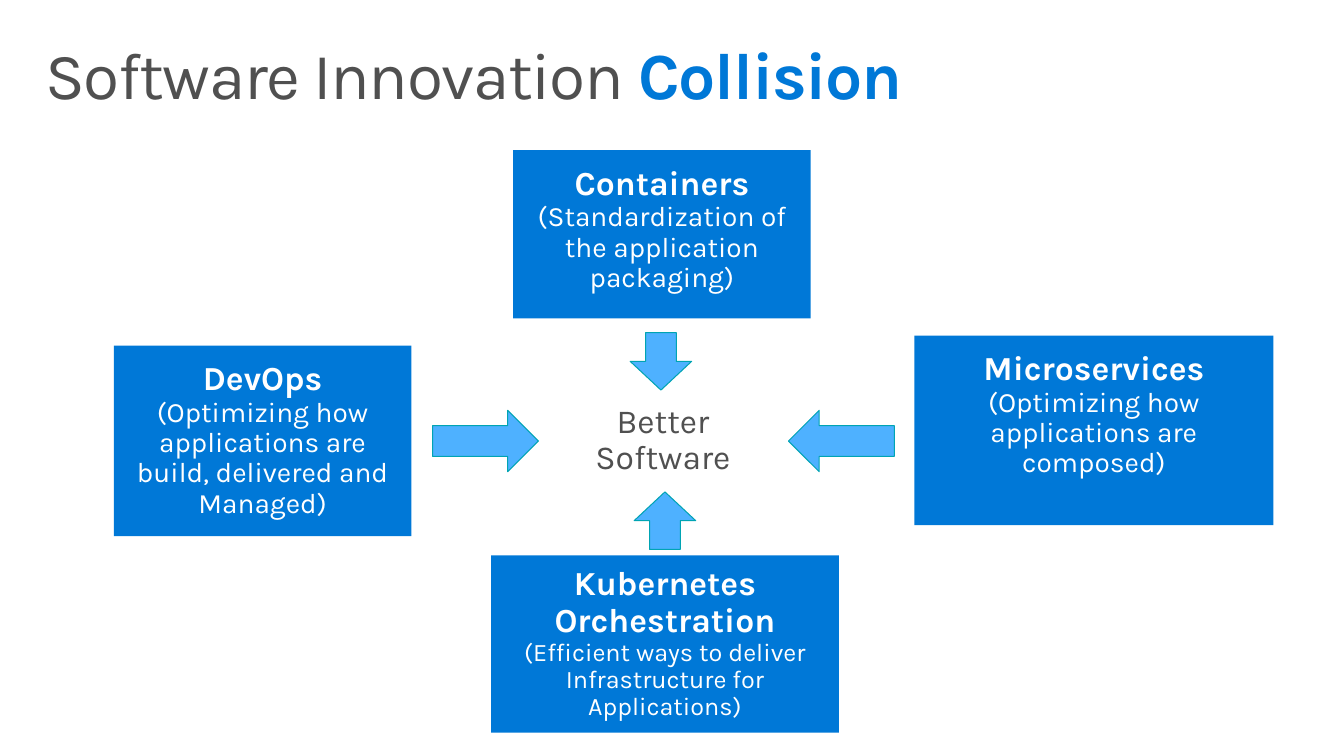
import dataclasses

import pptx
import pptx.dml.color
import pptx.enum.shapes
import pptx.enum.text
import pptx.util

ALIGN = pptx.enum.text.PP_ALIGN
ANCHOR = pptx.enum.text.MSO_ANCHOR
SHAPE = pptx.enum.shapes.MSO_SHAPE


@dataclasses.dataclass(frozen=True)
class Theme:
    font: str = "Karla"
    ink: str = "505050"
    accent: str = "0078D7"
    white: str = "FFFFFF"
    arrow: str = "4EB1FF"
    arrow_edge: str = "00A4B3"
    title: int = 47
    heading: int = 24
    detail: int = 20
    small_detail: int = 18
    line_spacing: float = 0.9


def px(length):
    return pptx.util.Emu(length * 9144)


def rgb(value):
    return pptx.dml.color.RGBColor.from_string(value)


def add_text(paragraph, text, *, font, size, color, bold=False, tracking=None):
    run = paragraph.add_run()
    run.text = text
    run.font.name = font
    run.font.size = pptx.util.Pt(size)
    run.font.bold = bold
    run.font.color.rgb = rgb(color)
    if tracking is not None:
        run.font._element.set("spc", str(tracking))


class CollisionSlide:
    """Draws the elements of one slide in a shared theme."""

    def __init__(self, slide, theme):
        self.shapes = slide.shapes
        self.theme = theme

    def prepare(self, shape, inset_x, inset_y, anchor=ANCHOR.TOP):
        frame = shape.text_frame
        frame.word_wrap = True
        frame.vertical_anchor = anchor
        frame.margin_left = frame.margin_right = px(inset_x)
        frame.margin_top = frame.margin_bottom = px(inset_y)
        return frame

    def style(self, paragraph, align):
        paragraph.alignment = align
        paragraph.line_spacing = self.theme.line_spacing
        return paragraph

    def solid(self, kind, bounds, color):
        shape = self.shapes.add_shape(kind, *map(px, bounds))
        shape.shadow.inherit = False
        shape.fill.solid()
        shape.fill.fore_color.rgb = rgb(color)
        return shape

    def title(self, bounds, lead, emphasis):
        theme = self.theme
        frame = self.prepare(self.shapes.add_textbox(*map(px, bounds)), 16, 10)
        line = self.style(frame.paragraphs[0], ALIGN.LEFT)
        for text, color, bold in ((lead, theme.ink, False), (emphasis, theme.accent, True)):
            add_text(line, text, font=theme.font, size=theme.title,
                     color=color, bold=bold, tracking=-100)

    def trend(self, bounds, name, benefit, detail_size, anchor=ANCHOR.TOP):
        theme = self.theme
        card = self.solid(SHAPE.RECTANGLE, bounds, theme.accent)
        card.line.fill.background()
        frame = self.prepare(card, 20, 16, anchor)
        heading = self.style(frame.paragraphs[0], ALIGN.CENTER)
        add_text(heading, name, font=theme.font, size=theme.heading,
                 color=theme.white, bold=True)
        detail = self.style(frame.add_paragraph(), ALIGN.CENTER)
        add_text(detail, benefit, font=theme.font, size=detail_size, color=theme.white)

    def outcome(self, bounds, text):
        theme = self.theme
        frame = self.prepare(self.shapes.add_textbox(*map(px, bounds)), 20, 16)
        frame.auto_size = pptx.enum.text.MSO_AUTO_SIZE.SHAPE_TO_FIT_TEXT
        line = self.style(frame.paragraphs[0], ALIGN.CENTER)
        line.space_after = pptx.util.Pt(6)
        add_text(line, text, font=theme.font, size=theme.heading, color=theme.ink)

    def arrow(self, bounds, rotation):
        arrow = self.solid(SHAPE.RIGHT_ARROW, bounds, self.theme.arrow)
        arrow.rotation = rotation
        arrow.line.color.rgb = rgb(self.theme.arrow_edge)
        arrow.line.width = pptx.util.Pt(0.75)


def main():
    deck = pptx.Presentation()
    deck.slide_width, deck.slide_height = px(1333), px(750)
    theme = Theme()
    collision = CollisionSlide(deck.slides.add_slide(deck.slide_layouts[6]), theme)

    collision.title((29, 32, 1275, 98), "Software Innovation ", "Collision")

    trends = (
        ((113, 343, 295, 189), "DevOps",
         "(Optimizing how applications are build, delivered and Managed)",
         theme.detail, ANCHOR.TOP),
        ((509, 149, 295, 167), "Containers",
         "(Standardization of the application packaging)",
         theme.detail, ANCHOR.TOP),
        ((907, 333, 356, 188), "Microservices",
         "(Optimizing how applications are composed)",
         theme.detail, ANCHOR.TOP),
        ((487, 551, 345, 176), "Kubernetes Orchestration",
         "(Efficient ways to deliver Infrastructure for Applications)",
         theme.small_detail, ANCHOR.MIDDLE),
    )
    for trend in trends:
        collision.trend(*trend)

    collision.outcome((547, 385, 221, 105), "Better Software")

    arrows = ((429, 407, 105, 0), (782, 407, 105, 180),
              (631, 486, 57, 270), (627, 328, 57, 90))
    for left, top, length, rotation in arrows:
        collision.arrow((left, top, length, 61), rotation)

    deck.save("out.pptx")


if __name__ == "__main__":
    main()
